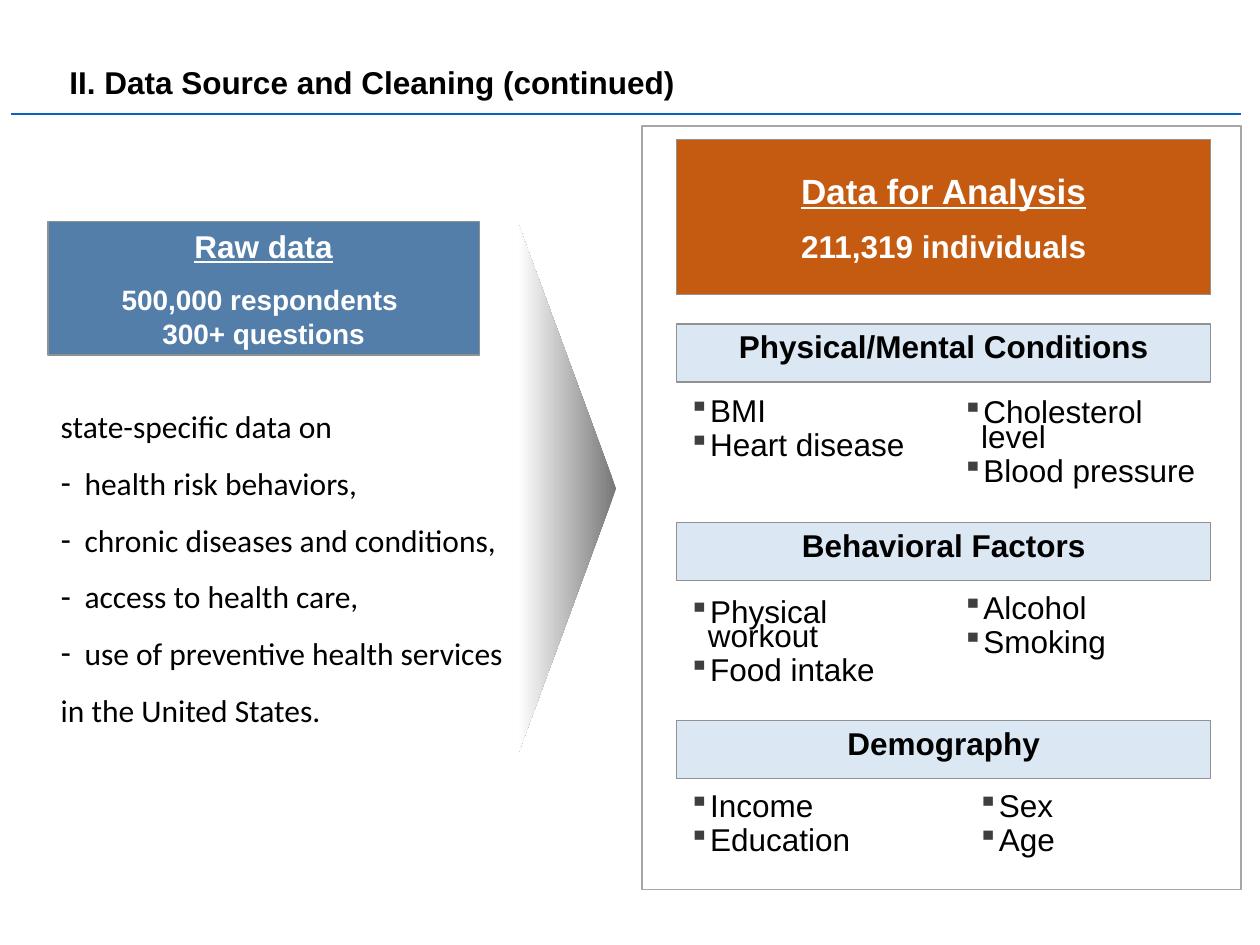
from dataclasses import dataclass

import lxml.etree
import pptx
import pptx.dml.color
import pptx.enum.shapes
import pptx.enum.text
import pptx.oxml.ns
import pptx.util

Cm = pptx.util.Cm
Pt = pptx.util.Pt
SHAPE = pptx.enum.shapes.MSO_SHAPE
ALIGN = pptx.enum.text.PP_ALIGN
ANCHOR = pptx.enum.text.MSO_ANCHOR
qn = pptx.oxml.ns.qn

BLACK, WHITE, EDGE = "000000", "FFFFFF", "919191"
COLUMN_LEFT, COLUMN_WIDTH = 13.64, 10.77
HEADER_TOP, HEADER_PITCH, HEADER_HEIGHT = 6.53, 4.0, 1.17


@dataclass
class Box:
    left: float
    top: float
    width: float
    height: float

    def lengths(self) -> list:
        return [Cm(n) for n in (self.left, self.top, self.width, self.height)]


@dataclass
class Line:
    text: str
    size: float = 18
    bold: bool = False
    underline: bool = False
    before: float = 0
    spacing: object = None
    bullet: str = ""
    indent: float = 0


@dataclass
class Factors:
    left: float
    top: float
    items: tuple


@dataclass
class Category:
    name: str
    columns: tuple


CATEGORIES = [
    Category("Physical/Mental Conditions", (
        Factors(COLUMN_LEFT, 8.03, ("BMI", "Heart disease")),
        Factors(19.15, 8.05, ("Cholesterol level", "Blood pressure")))),
    Category("Behavioral Factors", (
        Factors(COLUMN_LEFT, 12.07, ("Physical workout", "Food intake")),
        Factors(19.15, 11.99, ("Alcohol", "Smoking")))),
    Category("Demography", (
        Factors(COLUMN_LEFT, 15.98, ("Income", "Education")),
        Factors(19.46, 15.98, ("Sex", "Age")))),
]


def rgb(value: str):
    return pptx.dml.color.RGBColor.from_string(value)


def set_bullet(paragraph, char: str, indent: float, color: str = "") -> None:
    properties = paragraph._p.get_or_add_pPr()
    properties.set("marL", str(Cm(indent)))
    properties.set("indent", str(-Cm(indent)))

    def add(parent, tag, **attributes):
        return lxml.etree.SubElement(parent, qn(tag), attributes)

    if not char:
        add(properties, "a:buNone")
        return
    if color:
        add(add(properties, "a:buClr"), "a:srgbClr", val=color)
        add(properties, "a:buSzPct", val="90000")
    add(properties, "a:buChar", char=char)


def write(frame, lines: list, color: str = BLACK, font: str = "Arial",
          align=ALIGN.LEFT, bullet_color: str = "") -> None:
    for number, line in enumerate(lines):
        paragraph = frame.paragraphs[0] if number == 0 else frame.add_paragraph()
        paragraph.text = line.text
        set_bullet(paragraph, line.bullet, line.indent, bullet_color)
        paragraph.alignment = align
        paragraph.space_before = Pt(line.before)
        if line.spacing:
            paragraph.line_spacing = line.spacing
        paragraph.font.name = font
        paragraph.font.size = Pt(line.size)
        paragraph.font.bold = line.bold
        paragraph.font.underline = line.underline
        paragraph.font.color.rgb = rgb(color)


def place(placeholder, box: Box, anchor):
    placeholder.left, placeholder.top, placeholder.width, placeholder.height = box.lengths()
    frame = placeholder.text_frame
    frame.word_wrap = True
    frame.auto_size = pptx.enum.text.MSO_AUTO_SIZE.NONE
    frame.vertical_anchor = anchor
    return frame


def draw_block(slide, box: Box, fill: str, edge: str = EDGE, weight: float = 0.75):
    block = slide.shapes.add_shape(SHAPE.PENTAGON, *box.lengths())
    block.adjustments[0] = 0
    block.shadow.inherit = False
    block.fill.solid()
    block.fill.fore_color.rgb = rgb(fill)
    block.line.color.rgb = rgb(edge)
    block.line.width = Pt(weight)
    block.text_frame.vertical_anchor = ANCHOR.MIDDLE
    return block


def draw_rule(slide, left: float, right: float, top: float) -> None:
    rule = slide.shapes.add_connector(
        pptx.enum.shapes.MSO_CONNECTOR.STRAIGHT, Cm(left), Cm(top), Cm(right), Cm(top))
    rule.line.color.rgb = rgb("0563C1")
    rule.line.width = Pt(1.25)
    lxml.etree.SubElement(rule._element.spPr, qn("a:effectLst"))


def draw_arrow(slide, box: Box) -> None:
    arrow = slide.shapes.add_shape(SHAPE.ISOSCELES_TRIANGLE, *box.lengths())
    arrow.rotation = 90
    arrow.shadow.inherit = False
    arrow.line.fill.background()
    arrow.fill.gradient()
    arrow.fill.gradient_angle = 270
    for stop, color in zip(arrow.fill.gradient_stops, ("777777", WHITE)):
        stop.color.rgb = rgb(color)


def draw_category(slide, category: Category, top: float) -> None:
    header = draw_block(slide, Box(COLUMN_LEFT, top, COLUMN_WIDTH, HEADER_HEIGHT), "DBE7F3")
    header.text_frame.word_wrap = False
    write(header.text_frame,
          [Line(category.name, bold=True, before=9, spacing=Pt(14))], align=ALIGN.CENTER)
    for factors in category.columns:
        area = slide.shapes.add_textbox(*Box(factors.left, factors.top, 5.31, 1.5).lengths())
        area.text_frame.word_wrap = True
        write(area.text_frame,
              [Line(item, before=5.4, spacing=Pt(14), bullet="▪", indent=0.38)
               for item in factors.items], bullet_color="3F3F3F")


def main() -> None:
    deck = pptx.Presentation()
    deck.slide_width, deck.slide_height = Cm(25.4), Cm(19.05)
    slide = deck.slides.add_slide(deck.slide_layouts[1])

    # Title and rule
    title = place(slide.shapes.title, Box(1.4, 0.58, 23.34, 1.45), ANCHOR.BOTTOM)
    title.margin_left = title.margin_right = title.margin_top = title.margin_bottom = 0
    write(title, [Line("II. Data Source and Cleaning (continued)", bold=True)])
    draw_rule(slide, 0.23, 25.02, 2.29)

    # Raw data
    raw_data = draw_block(slide, Box(0.97, 4.47, 8.69, 2.69), "336699")
    fill_color = raw_data._element.spPr.find(qn("a:solidFill"))[0]
    lxml.etree.SubElement(fill_color, qn("a:alpha"), val="84000")
    write(raw_data.text_frame, [
        Line("Raw data", bold=True, underline=True),
        Line("500,000 respondents ", 16, bold=True, before=10.35),
        Line("300+ questions", 16, bold=True)], WHITE, align=ALIGN.CENTER)

    # Contents of the raw data
    topics = ("health risk behaviors,", "chronic diseases and conditions,",
              "access to health care,", "use of preventive health services")
    contents = place(slide.placeholders[1], Box(0.97, 7.7, 9.5, 7.06), ANCHOR.TOP)
    write(contents, [
        Line("state-specific data on", spacing=1.5),
        *(Line(topic, spacing=1.5, bullet="-", indent=0.48) for topic in topics),
        Line("in the United States.", spacing=1.5)], font="Calibri")

    draw_arrow(slide, Box(6.07, 8.86, 10.72, 1.98))

    # Data for analysis
    draw_block(slide, Box(12.95, 2.54, 12.07, 15.39), WHITE, "A6A6A6", 1)
    analysis = draw_block(slide, Box(COLUMN_LEFT, 2.82, COLUMN_WIDTH, 3.12), "C55A11")
    write(analysis.text_frame, [
        Line("Data for Analysis", 20, bold=True, underline=True),
        Line("211,319 individuals", bold=True, before=9.2)], WHITE, align=ALIGN.CENTER)
    for number, category in enumerate(CATEGORIES):
        draw_category(slide, category, HEADER_TOP + number * HEADER_PITCH)

    deck.save("out.pptx")


if __name__ == "__main__":
    main()
